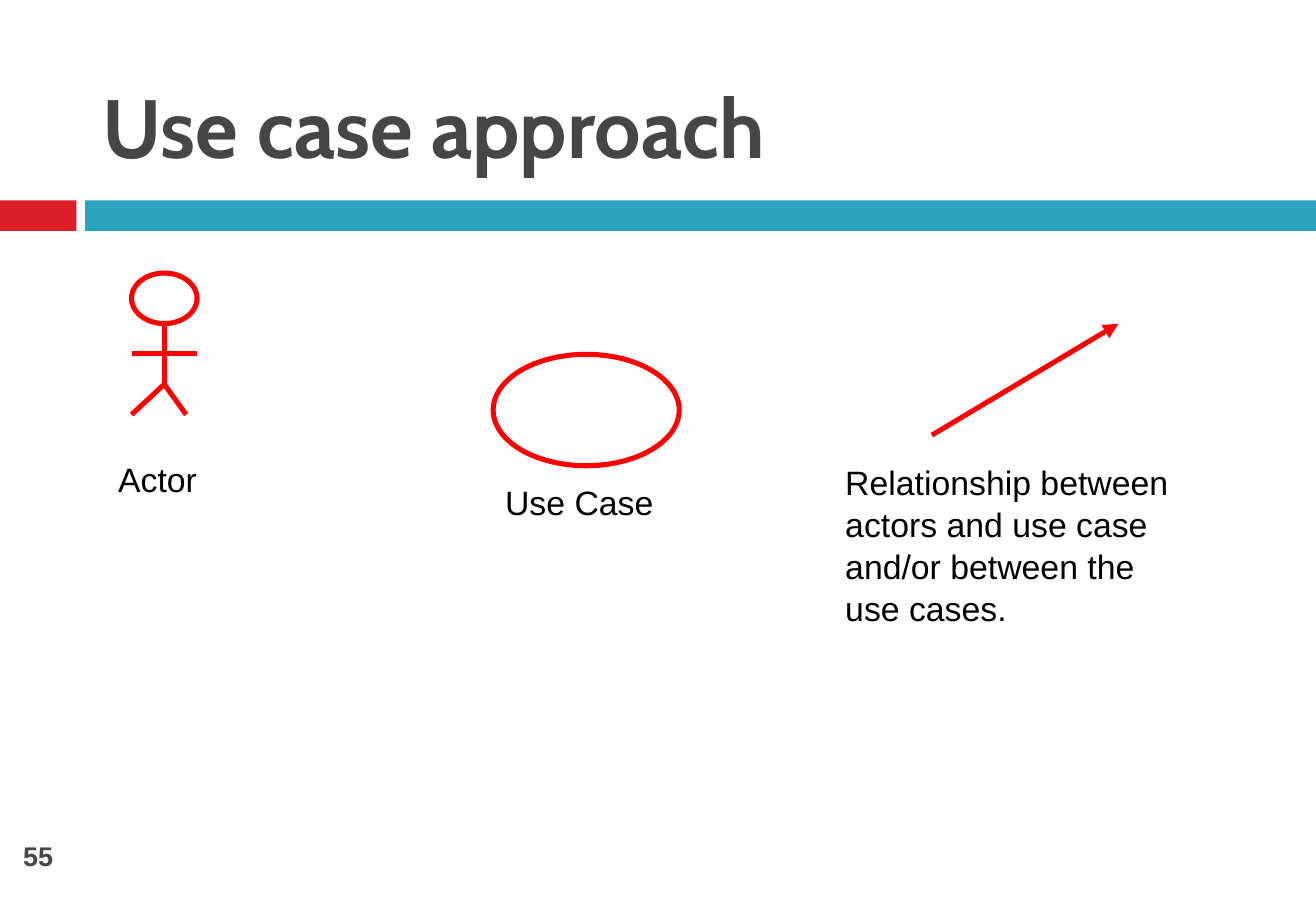
from pptx import Presentation
from pptx.dml.color import RGBColor
from pptx.enum.shapes import MSO_CONNECTOR, MSO_SHAPE
from pptx.enum.text import MSO_ANCHOR, PP_ALIGN
from pptx.oxml.ns import qn
from pptx.util import Cm, Pt
from lxml.etree import SubElement

RED = RGBColor(0xFF, 0x00, 0x00)
CRIMSON = RGBColor(0xDA, 0x1F, 0x28)
TEAL = RGBColor(0x2D, 0xA2, 0xBF)
GREY = RGBColor(0x46, 0x46, 0x46)
BLACK = RGBColor(0x00, 0x00, 0x00)
WHITE = RGBColor(0xFF, 0xFF, 0xFF)
WIDTH, HEIGHT = 27.51, 19.05


def add_filled(shapes, kind, x, y, w, h, fill, line=None):
    sp = shapes.add_shape(kind, Cm(x), Cm(y), Cm(w), Cm(h))
    sp.shadow.inherit = False
    sp.fill.solid()
    sp.fill.fore_color.rgb = fill
    if line is None:
        sp.line.fill.background()
    else:
        sp.line.color.rgb = line
        sp.line.width = Pt(3)
    return sp


def add_line(shapes, x1, y1, x2, y2, arrow=False):
    cn = shapes.add_connector(MSO_CONNECTOR.STRAIGHT, Cm(x1), Cm(y1), Cm(x2), Cm(y2))
    cn.line.color.rgb = RED
    cn.line.width = Pt(3)
    if arrow:
        SubElement(cn.line._get_or_add_ln(), qn("a:tailEnd"), type="triangle")
    SubElement(cn._element.spPr, qn("a:effectLst"))


def add_text(shapes, x, y, w, h, lines, size=20, font="Arial", color=BLACK,
             bold=False, spacing=1.0, wrap=True):
    tf = shapes.add_textbox(Cm(x), Cm(y), Cm(w), Cm(h)).text_frame
    tf.word_wrap = wrap
    for i, line in enumerate(lines):
        p = tf.paragraphs[0] if i == 0 else tf.add_paragraph()
        p.line_spacing = spacing
        r = p.add_run()
        r.text = line
        r.font.size = Pt(size)
        r.font.name = font
        r.font.bold = bold
        r.font.color.rgb = color
    return tf


def add_label(shapes, x, y, w, h, *lines):
    add_text(shapes, x, y, w, h, lines, spacing=1.04, wrap=False)


def add_header(s, x, y, w):
    # Title over a two-colour band
    add_text(s.shapes, x + 1.9, y + 1.47, w - 2.98, 2.6, ["Use case approach"],
             size=49, font="Cabin", color=GREY, bold=True)
    tab, gap, band_y, band_h = 1.6, 0.18, y + 4.19, 0.64
    add_filled(s.shapes, MSO_SHAPE.RECTANGLE, x, band_y, tab, band_h, CRIMSON)
    add_filled(s.shapes, MSO_SHAPE.RECTANGLE, x + tab + gap, band_y,
               w - tab - gap, band_h, TEAL)


def add_actor(s, x, y, w, h):
    # Stick figure: limbs hang from the centre line
    g = s.shapes.add_group_shape().shapes
    mid, part = x + w / 2, h / 14
    neck, arms, hip, feet = y + 5 * part, y + 8 * part, y + 11 * part, y + h
    add_filled(g, MSO_SHAPE.OVAL, x, y, w, neck - y, WHITE, RED)
    add_line(g, mid, neck, mid, hip)
    add_line(g, mid, hip, x, feet)
    add_line(g, mid, hip, x + w * 5 / 6, feet)
    add_line(g, x, arms, x + w, arms)
    add_label(s.shapes, x - 0.53, y + h + 0.76, 2.2, 1.12, "Actor")


def add_use_case(s, x, y, w, h):
    # Ellipse with its caption
    add_filled(s.shapes, MSO_SHAPE.OVAL, x, y, w, h, WHITE, RED)
    add_label(s.shapes, x, y + h + 0.18, 3.63, 1.12, "Use Case")


def add_relationship(s, x, y, w, h):
    # Rising arrow with its caption
    add_line(s.shapes, x, y + h, x + w, y, arrow=True)
    add_label(s.shapes, x - 2.06, y + h + 0.4, 7.34, 4.52,
              "Relationship between", "actors and use case",
              "and/or between the", "use cases.")


def add_page_number(s, x, y, w, h):
    tf = add_text(s.shapes, x, y, w, h, ["55"], size=16, color=GREY, bold=True)
    tf.vertical_anchor = MSO_ANCHOR.MIDDLE
    tf.margin_left = tf.margin_right = Cm(0.3)
    tf.margin_top = tf.margin_bottom = Cm(0.15)
    tf.paragraphs[0].alignment = PP_ALIGN.CENTER


def main():
    prs = Presentation()
    prs.slide_width, prs.slide_height = Cm(WIDTH), Cm(HEIGHT)
    s = prs.slides.add_slide(prs.slide_layouts[6])
    add_header(s, 0, 0, WIDTH)
    add_actor(s, 2.75, 5.71, 1.37, 2.96)
    add_use_case(s, 10.31, 7.41, 3.89, 2.33)
    add_relationship(s, 19.48, 6.77, 3.9, 2.33)
    add_page_number(s, 0, 17.35, 1.6, 1.07)
    prs.save("out.pptx")


if __name__ == "__main__":
    main()
